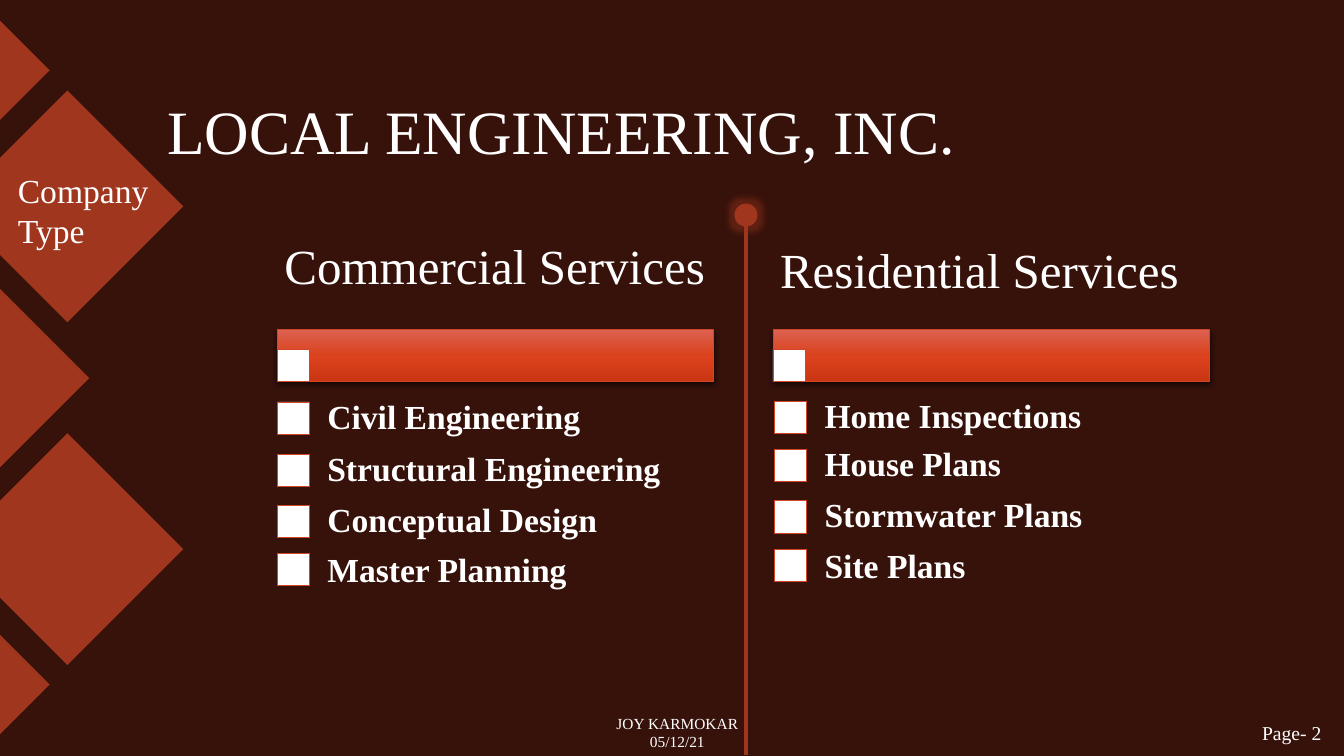
import pptx
import pptx.dml.color
import pptx.enum.shapes
import pptx.enum.text
import pptx.oxml
import pptx.oxml.ns
import pptx.util

Cm = pptx.util.Cm
Pt = pptx.util.Pt
RGBColor = pptx.dml.color.RGBColor
SHAPE = pptx.enum.shapes.MSO_SHAPE
ALIGN = pptx.enum.text.PP_ALIGN
ANCHOR = pptx.enum.text.MSO_ANCHOR

BACKGROUND = RGBColor(0x37, 0x12, 0x0A)
RUST = RGBColor(0x9F, 0x36, 0x1D)
ORANGE = RGBColor(0xD2, 0x47, 0x26)
WHITE = RGBColor(0xFF, 0xFF, 0xFF)
BAR_STOPS = [RGBColor(0xDB, 0x61, 0x50), RGBColor(0xDB, 0x42, 0x1D),
             RGBColor(0xCA, 0x36, 0x12)]
FONT = "Times New Roman"

SLIDE_WIDTH, SLIDE_HEIGHT = 33.87, 19.05
SQUARE = 0.81

# Centre x, centre y and half-diagonal of each diamond, in cm
DIAMONDS = [(0, 1.77, 1.25), (1.7, 5.2, 2.92), (0, 9.53, 2.25),
            (1.7, 13.84, 2.92), (0, 17.25, 1.25)]


def add_effect(shape, effect):
    xml = f'<a:effectLst {pptx.oxml.ns.nsdecls("a")}>{effect}</a:effectLst>'
    properties = shape._element.spPr
    for old in properties.findall(pptx.oxml.ns.qn("a:effectLst")):
        properties.remove(old)
    properties.append(pptx.oxml.parse_xml(xml))


def format_text(shape, text, size, bold=False, align=ALIGN.LEFT,
                anchor=ANCHOR.TOP, insets=(0.25, 0.13), spacing=1.0):
    frame = shape.text_frame
    frame.text = text
    frame.word_wrap = True
    frame.auto_size = pptx.enum.text.MSO_AUTO_SIZE.NONE
    frame.vertical_anchor = anchor
    frame.margin_left = frame.margin_right = Cm(insets[0])
    frame.margin_top = frame.margin_bottom = Cm(insets[1])
    for paragraph in frame.paragraphs:
        paragraph.alignment = align
        paragraph.line_spacing = spacing
        for run in paragraph.runs:
            run.font.name = FONT
            run.font.size = Pt(size)
            run.font.bold = bold
            run.font.color.rgb = WHITE


def add_text(slide, box, text, size, **style):
    textbox = slide.shapes.add_textbox(*map(Cm, box))
    format_text(textbox, text, size, **style)


def add_square(slide, left, top):
    square = slide.shapes.add_shape(SHAPE.RECTANGLE, Cm(left), Cm(top),
                                    Cm(SQUARE), Cm(SQUARE))
    square.shadow.inherit = False
    square.fill.solid()
    square.fill.fore_color.rgb = WHITE
    square.line.color.rgb = ORANGE
    square.line.width = Pt(0.5)


def add_diamonds(slide):
    """Diamonds along the left edge, cut off where the slide begins."""
    for x, y, radius in DIAMONDS:
        cut = radius - x
        corners = [(x, y - radius), (x + radius, y), (x, y + radius), (0, y + cut)]
        builder = slide.shapes.build_freeform(Cm(0), Cm(y - cut))
        builder.add_line_segments([(Cm(a), Cm(b)) for a, b in corners])
        diamond = builder.convert_to_shape()
        diamond.shadow.inherit = False
        diamond.fill.solid()
        diamond.fill.fore_color.rgb = RUST
        diamond.line.fill.background()


def add_divider(slide, centre, top, diameter):
    """Vertical line to the slide's foot, headed by a glowing dot."""
    line = slide.shapes.add_connector(
        pptx.enum.shapes.MSO_CONNECTOR.STRAIGHT,
        Cm(centre), Cm(top + diameter / 2), Cm(centre), Cm(SLIDE_HEIGHT - 0.03))
    line.line.color.rgb = RUST
    line.line.width = Pt(2.25)
    add_effect(line, "")
    dot = slide.shapes.add_shape(SHAPE.OVAL, Cm(centre - diameter / 2), Cm(top),
                                 Cm(diameter), Cm(diameter))
    dot.fill.solid()
    dot.fill.fore_color.rgb = RUST
    dot.line.fill.background()
    add_effect(dot, f'<a:glow rad="101600"><a:srgbClr val="{RUST}">'
                    '<a:alpha val="40000"/></a:srgbClr></a:glow>')


def add_bar(slide, left, top, width, height):
    bar = slide.shapes.add_shape(SHAPE.RECTANGLE, Cm(left), Cm(top),
                                 Cm(width), Cm(height))
    bar.fill.gradient()
    bar.fill.gradient_angle = 270
    stops = bar._element.spPr.find(".//" + pptx.oxml.ns.qn("a:gsLst"))
    for stop in list(stops):
        stops.remove(stop)
    for index, color in enumerate(BAR_STOPS):
        stops.append(pptx.oxml.parse_xml(
            f'<a:gs {pptx.oxml.ns.nsdecls("a")} pos="{index * 50000}">'
            f'<a:srgbClr val="{color}"/></a:gs>'))
    bar.line.color.rgb = ORANGE
    bar.line.width = Pt(0.5)
    add_effect(bar, '<a:outerShdw blurRad="57150" dist="19050" dir="5400000" '
                    'algn="ctr" rotWithShape="0"><a:srgbClr val="000000">'
                    '<a:alpha val="63000"/></a:srgbClr></a:outerShdw>')


def add_services(slide, left, top, width, heading, services, indent=0):
    """Heading, bar and list; each service comes with its square's offset."""
    add_text(slide, (left, top, width, 2.34), heading, 35, anchor=ANCHOR.MIDDLE,
             insets=(0.18, 0.13), spacing=0.9)
    bar_top, bar_height = 8.31, 1.3
    add_bar(slide, left, bar_top, width, bar_height)
    add_square(slide, left, bar_top + bar_height - SQUARE)
    for service, offset in services:
        row_top = bar_top + offset
        last = service == services[-1][0]
        add_square(slide, left + indent, row_top)
        add_text(slide, (left + indent + 0.78, row_top - 0.53, 10.24, 1.88),
                 service, 24, bold=True, anchor=ANCHOR.MIDDLE,
                 insets=(0.48, 0.48), spacing=1.0 if last else 0.9)


def build_slide(deck):
    slide = deck.slides.add_slide(deck.slide_layouts[5])
    slide.background.fill.solid()
    slide.background.fill.fore_color.rgb = BACKGROUND

    # Decoration
    add_divider(slide, 18.8, 5.13, 0.58)
    add_diamonds(slide)

    # Title and side label
    title = slide.shapes.title
    title.left, title.top, title.width, title.height = map(
        Cm, (3.96, 2.21, 22.02, 2.13))
    format_text(title, "LOCAL ENGINEERING, INC.", 44)
    add_text(slide, (0.2, 4.14, 5.1, 2.31), "Company Type", 24)

    # Service columns
    add_services(slide, 6.99, 5.61, 11, "Commercial Services",
                 [("Civil Engineering", 1.82), ("Structural Engineering", 3.15),
                  ("Conceptual Design", 4.42), ("Master Planning", 5.63)])
    add_services(slide, 19.48, 5.69, 11, "Residential Services",
                 [("Home Inspections", 1.8), ("House Plans", 3.02),
                  ("Stormwater Plans", 4.31), ("Site Plans", 5.53)], indent=0.04)

    # Footer
    add_text(slide, (15, 17.86, 4.14, 1.19), "JOY KARMOKAR\n05/12/21", 11,
             align=ALIGN.CENTER)
    add_text(slide, (31.22, 18.03, 2.67, 0.86), "Page- 2", 14, align=ALIGN.CENTER)


def main():
    deck = pptx.Presentation()
    deck.slide_width, deck.slide_height = Cm(SLIDE_WIDTH), Cm(SLIDE_HEIGHT)
    build_slide(deck)
    deck.save("out.pptx")


if __name__ == "__main__":
    main()
